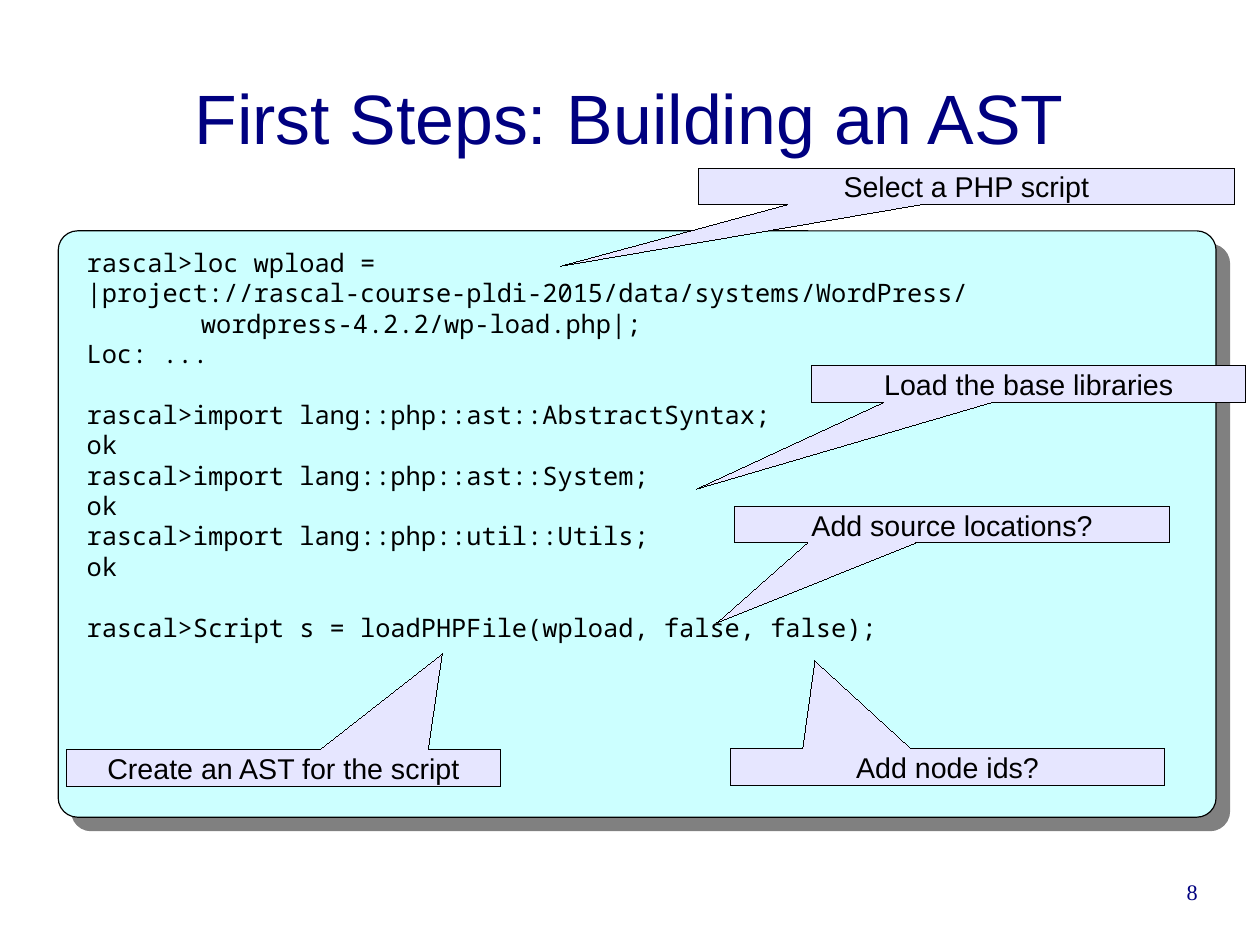
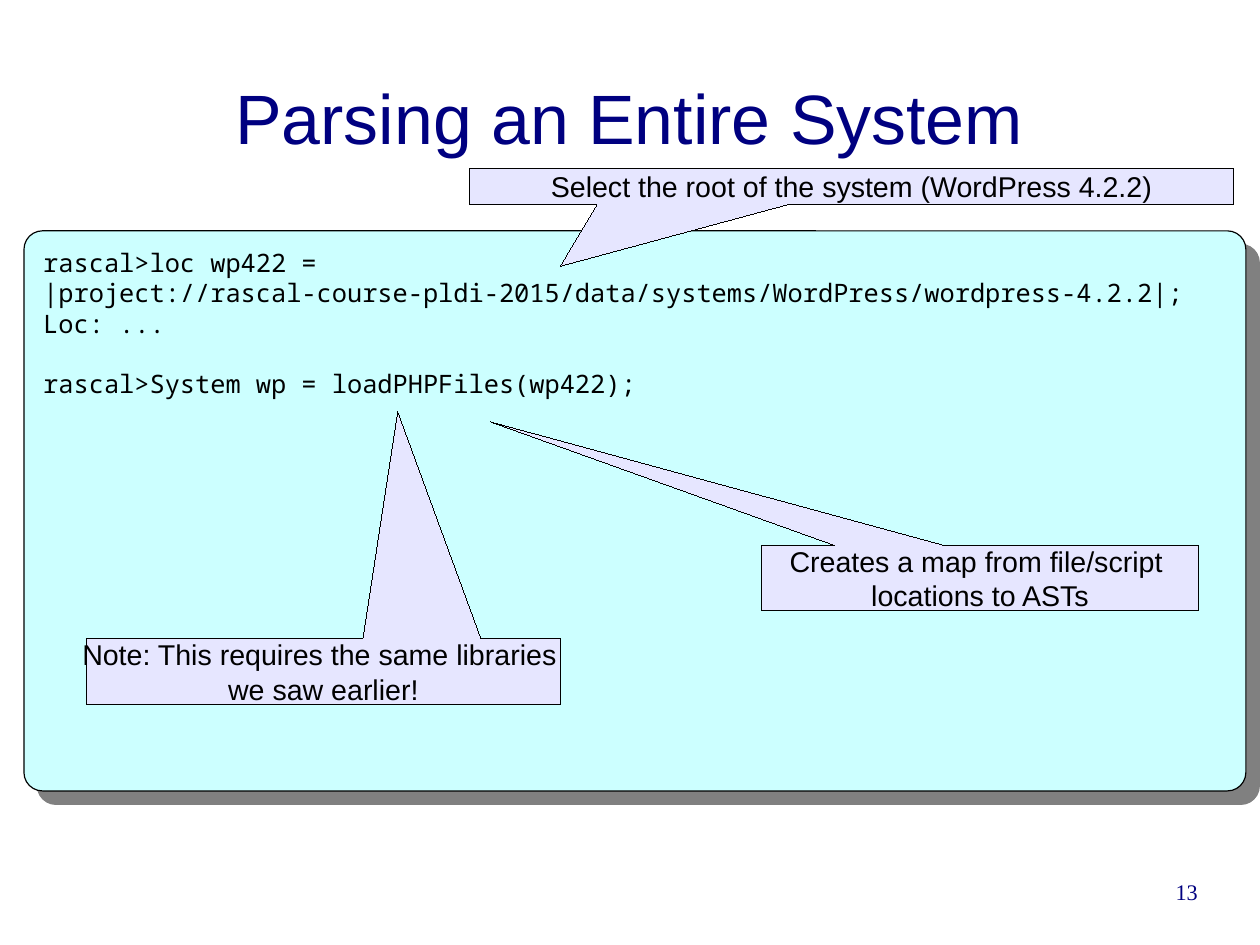
"""Build two slides of annotated Rascal console sessions."""
from lxml.etree import SubElement
from pptx import Presentation
from pptx.dml.color import RGBColor
from pptx.enum.shapes import MSO_SHAPE
from pptx.enum.text import MSO_ANCHOR, PP_ALIGN
from pptx.oxml.ns import qn
from pptx.util import Inches, Pt

NAVY = RGBColor(0x00, 0x00, 0x80)
BLACK = RGBColor(0x00, 0x00, 0x00)
CYAN = RGBColor(0xCC, 0xFF, 0xFF)
LILAC = RGBColor(0xE6, 0xE6, 0xFF)
GREY = RGBColor(0x80, 0x80, 0x80)
SANS, MONO, SERIF = "Arial", "Noto Sans Mono", "Times New Roman"
WIDE, HIGH = Inches(280 / 25.4), Inches(210 / 25.4)
LOW, TALL = 0.32, 0.57
GAP = Pt(19)

SLIDES = [
    {
        "title": "First Steps: Building an AST",
        "page": "8",
        "panel": (0.51, 2.02, 10.13, 5.13),
        "code": (0.66, 2.11, 9.94, 3.67),
        "blocks": [
            ["rascal>loc wpload =",
             "|project://rascal-course-pldi-2015/data/systems/WordPress/",
             "\twordpress-4.2.2/wp-load.php|;",
             "Loc: ..."],
            ["rascal>import lang::php::ast::AbstractSyntax;", "ok",
             "rascal>import lang::php::ast::System;", "ok",
             "rascal>import lang::php::util::Utils;", "ok"],
            ["rascal>Script s = loadPHPFile(wpload, false, false);"],
        ],
        "notes": [
            ("Load the base libraries", (7.1, 3.2, 3.8, LOW), (6.09, 4.28)),
            ("Select a PHP script", (6.11, 1.47, 4.69, LOW), (4.9, 2.33)),
            ("Create an AST for the script", (0.58, 6.56, 3.8, LOW), (3.87, 5.72)),
            ("Add source locations?", (6.43, 4.43, 3.8, LOW), (6.27, 5.45)),
            ("Add node ids?", (6.39, 6.55, 3.8, LOW), (7.13, 5.78)),
        ],
    },
    {
        "title": "Parsing an Entire System",
        "page": "13",
        "panel": (0.21, 2.02, 10.69, 4.9),
        "code": (0.28, 2.11, 10.32, 3.67),
        "blocks": [
            ["rascal>loc wp422 =",
             "|project://rascal-course-pldi-2015/data/systems/WordPress/wordpress-4.2.2|;",
             "Loc: ..."],
            ["rascal>System wp = loadPHPFiles(wp422);"],
        ],
        "notes": [
            ("Note: This requires the same libraries \nwe saw earlier!",
             (0.76, 5.59, 4.14, TALL), (3.48, 3.6)),
            ("Select the root of the system (WordPress 4.2.2)",
             (4.11, 1.47, 6.68, LOW), (4.9, 2.33)),
            ("Creates a map from file/script \vlocations to ASTs",
             (6.66, 4.77, 3.83, TALL), (4.29, 3.69)),
        ],
    },
]


def place(box):
    return [Inches(val) for val in box]


def write(shape, text, font, size, color, align, pad=(0.1, 0.05), wrap=True,
          anchor=MSO_ANCHOR.TOP):
    frame = shape.text_frame
    frame.word_wrap = wrap
    frame.vertical_anchor = anchor
    frame.margin_left = frame.margin_right = Inches(pad[0])
    frame.margin_top = frame.margin_bottom = Inches(pad[1])
    frame.text = text
    for para in frame.paragraphs:
        para.alignment = align
        for run in para.runs:
            run.font.name = font
            run.font.size = Pt(size)
            run.font.color.rgb = color
    return frame


def label(slide, text, box, *style, **more):
    return write(slide.shapes.add_textbox(*place(box)), text, *style, **more)


def block(slide, kind, box, fill, width):
    shape = slide.shapes.add_shape(kind, *place(box))
    shape.shadow.inherit = False
    shape.fill.solid()
    shape.fill.fore_color.rgb = fill
    shape.line.color.rgb = BLACK
    shape._element.spPr.find(qn("a:ln")).set("w", str(Pt(width)))
    return shape


def panel(slide, box):
    shape = block(slide, MSO_SHAPE.ROUNDED_RECTANGLE, box, CYAN, 0.75)
    shape.adjustments[0] = 0.033
    effects = shape._element.spPr.find(qn("a:effectLst"))
    shade = SubElement(effects, qn("a:outerShdw"), blurRad="0",
                       dist=str(Pt(12)), dir="2700000", algn="tl", rotWithShape="0")
    SubElement(shade, qn("a:srgbClr"), val=str(GREY))


def code(slide, box, blocks):
    lines = [line for part in blocks for line in part]
    frame = label(slide, "\n".join(lines), box, MONO, 16, BLACK, PP_ALIGN.LEFT)
    paras = iter(frame.paragraphs)
    for num, part in enumerate(blocks):
        for pos, line in enumerate(part):
            para = next(paras)
            if line.startswith("\t"):
                tabs = SubElement(para._p.get_or_add_pPr(), qn("a:tabLst"))
                SubElement(tabs, qn("a:tab"), pos=str(Inches(1)), algn="l")
            if num and not pos:
                para.space_before = GAP


def note(slide, text, box, tip):
    shape = block(slide, MSO_SHAPE.RECTANGULAR_CALLOUT, box, LILAC, 0)
    for axis in range(2):
        start, size = box[axis], box[axis + 2]
        shape.adjustments[axis] = (tip[axis] - start) / size - 0.5
    write(shape, text, SANS, 18, BLACK, PP_ALIGN.CENTER, wrap=False,
          anchor=MSO_ANCHOR.MIDDLE)


def build(deck, data):
    slide = deck.slides.add_slide(deck.slide_layouts[6])
    label(slide, data["title"], (0.55, 0.33, 9.92, 1.38), SANS, 44, NAVY,
          PP_ALIGN.CENTER, pad=(0, 0), anchor=MSO_ANCHOR.MIDDLE)
    panel(slide, data["panel"])
    code(slide, data["code"], data["blocks"])
    for item in data["notes"]:
        note(slide, *item)
    label(slide, data["page"], (7.91, 7.68, 2.57, 0.57), SERIF, 14, NAVY,
          PP_ALIGN.RIGHT, pad=(0, 0))


def main():
    deck = Presentation()
    deck.slide_width = WIDE
    deck.slide_height = HIGH
    for data in SLIDES:
        build(deck, data)
    deck.save("out.pptx")


if __name__ == "__main__":
    main()
